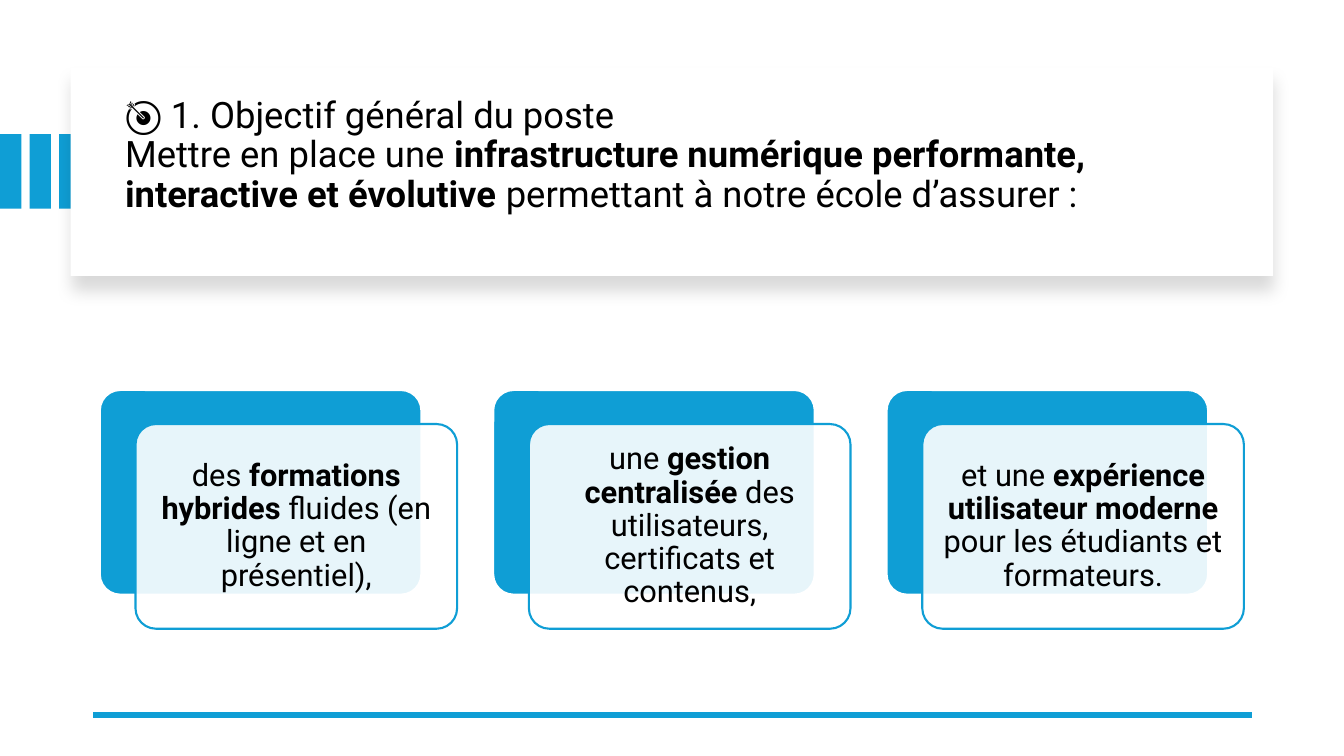
from lxml import etree
from pptx import Presentation
from pptx.dml.color import RGBColor
from pptx.enum import shapes as sh, text as tx
from pptx.oxml import parse_xml
from pptx.oxml.ns import nsdecls, qn
from pptx.util import Pt

BLUE, WHITE, BLACK = "0F9ED5", "FFFFFF", "000000"
HEAD = ("🎯 1. Objectif général du poste\nMettre en place une *infrastructure numérique "
        "performante, interactive et évolutive* permettant à notre école d’assurer :")
GOALS = ["des *formations hybrides* fluides (en ligne et en présentiel),",
         "une *gestion centralisée* des utilisateurs, certificats et contenus,",
         "et une *expérience utilisateur moderne* pour les étudiants et formateurs."]


def paint(fmt, hue):
    """Give a fill or a line one solid colour."""
    fill = getattr(fmt, "fill", fmt)
    fill.solid()
    fill.fore_color.rgb = RGBColor.from_string(hue)


def write(shape, words, size, align, pads):
    """Write text in a shape, with *starred* words in bold."""
    frame = shape.text_frame
    frame.word_wrap = True
    frame.auto_size = tx.MSO_AUTO_SIZE.NONE
    frame.vertical_anchor = tx.MSO_ANCHOR.MIDDLE
    for side, pad in zip(("left", "top", "right", "bottom"), pads):
        setattr(frame, f"margin_{side}", Pt(pad))
    para = frame.paragraphs[0]
    para.alignment, para.line_spacing = align, 0.9
    for row, line in enumerate(words.split("\n")):
        if row:
            para.add_line_break()
        for i, part in enumerate(line.split("*")):
            run = para.add_run()
            run.text = part
            font = run.font
            font.name, font.size, font.bold = "Roboto", Pt(size), i % 2 == 1
            paint(font, BLACK)


def block(slide, kind, box, fill, line=None):
    """Add a filled shape, outlined if a line colour is given."""
    shape = slide.shapes.add_shape(kind, *map(Pt, box))
    shape.shadow.inherit = False
    paint(shape.fill, fill)
    if line:
        paint(shape.line, line)
        shape.line.width = Pt(1.5)
    else:
        shape.line.fill.background()
    return shape


def stripes(slide, x, y, w, h):
    """Draw three bars, evenly spread over the box."""
    bar = 15.3
    for i in range(3):
        left = x + i * (w - bar) / 2
        block(slide, sh.MSO_SHAPE.RECTANGLE, (left, y, bar, h), BLUE)


def header(slide, x, y, w, h):
    """Draw the shadowed panel and set the title on it."""
    panel = block(slide, sh.MSO_SHAPE.RECTANGLE, (x, y, w, h), WHITE)
    glow = panel._element.spPr.find(qn("a:effectLst"))
    glow.append(parse_xml(
        f'<a:outerShdw {nsdecls("a")} blurRad="{Pt(11)}" dist="{Pt(10)}" dir="5400000" '
        'algn="t" rotWithShape="0"><a:srgbClr val="000000"><a:alpha val="15000"/>'
        '</a:srgbClr></a:outerShdw>'))
    title = slide.shapes.title
    title.left, title.top = Pt(x + 31.7), Pt(y + 15.9)
    title.width, title.height = Pt(w - 57.6), Pt(h - 26.6)
    slide.shapes._spTree.append(title._element)
    write(title, HEAD, 26, tx.PP_ALIGN.LEFT, (7.2, 3.6, 7.2, 31))


def card(slide, x, y, w, h, words):
    """Draw a blue plate with a sheer text card offset over it."""
    dx, dy = 25.5, 24.3
    size = (w - dx, h - dy)
    kind = sh.MSO_SHAPE.ROUNDED_RECTANGLE
    plate = block(slide, kind, (x, y, *size), BLUE, WHITE)
    front = block(slide, kind, (x + dx, y + dy, *size), WHITE, BLUE)
    plate.adjustments[0] = front.adjustments[0] = 0.1
    hue = front._element.spPr.find(qn("a:solidFill"))[0]
    etree.SubElement(hue, qn("a:alpha"), val="90000")
    write(front, words, 22, tx.PP_ALIGN.CENTER, (6.6,) * 4)


def rule(slide, x, y, w):
    """Draw the thick line that closes the slide."""
    line = slide.shapes.add_connector(sh.MSO_CONNECTOR.STRAIGHT, Pt(x + w), Pt(y), Pt(x), Pt(y))
    paint(line.line, BLUE)
    line.line.width = Pt(4.5)
    etree.SubElement(line._element.spPr, qn("a:effectLst"))


def main():
    """Build the slide and save it."""
    deck = Presentation()
    deck.slide_width, deck.slide_height = Pt(960), Pt(540)
    slide = deck.slides.add_slide(deck.slide_layouts[5])
    stripes(slide, 0, 95.8, 57.6, 53.3)
    header(slide, 50.4, 48.2, 859, 149)
    rule(slide, 66.2, 510.5, 828)
    for i, goal in enumerate(GOALS):
        card(slide, 71.3 + i * 281, 278.6, 255.2, 170.5, goal)
    deck.save("out.pptx")


if __name__ == "__main__":
    main()
